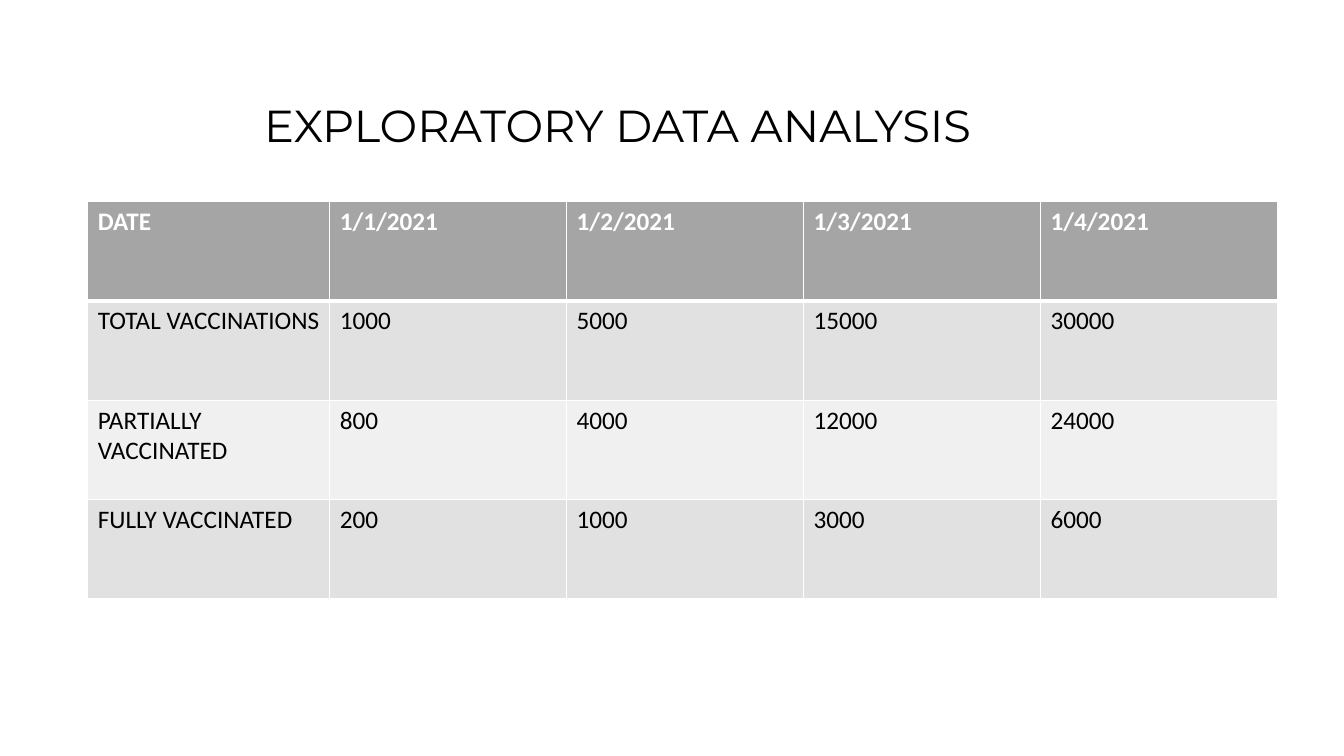
from typing import NamedTuple

from lxml.etree import SubElement
from pptx import Presentation
from pptx.dml.color import RGBColor
from pptx.enum.text import MSO_ANCHOR, MSO_AUTO_SIZE, PP_ALIGN
from pptx.oxml.ns import qn
from pptx.util import Inches, Pt

WHITE, BLACK = "FFFFFF", "000000"
HEADER_GREY, DARK_BAND, LIGHT_BAND = "A5A5A5", "E1E1E1", "F0F0F0"


class RowStyle(NamedTuple):
    fill: str
    color: str = BLACK
    bold: bool = False
    top: float = 1
    bottom: float = 1


class Row(NamedTuple):
    cells: tuple[str, ...]
    style: RowStyle


ROWS = [
    Row(("DATE", "1/1/2021", "1/2/2021", "1/3/2021", "1/4/2021"),
        RowStyle(HEADER_GREY, WHITE, bold=True, bottom=3)),
    Row(("TOTAL VACCINATIONS", "1000", "5000", "15000", "30000"),
        RowStyle(DARK_BAND, top=3)),
    Row(("PARTIALLY VACCINATED", "800", "4000", "12000", "24000"),
        RowStyle(LIGHT_BAND)),
    Row(("FULLY VACCINATED", "200", "1000", "3000", "6000"),
        RowStyle(DARK_BAND)),
]
COLUMN_WIDTHS = [2.4] + [2.35] * 4
TABLE_HEIGHT = 3.94


def rgb(color: str) -> RGBColor:
    return RGBColor.from_string(color)


def write(tf, text: str, *, size: float, font: str, color: str,
          bold: bool = False) -> None:
    p = tf.paragraphs[0]
    p.alignment = PP_ALIGN.LEFT
    r = p.add_run()
    r.text = text
    r.font.size = Pt(size)
    r.font.name = font
    r.font.bold = bold
    r.font.color.rgb = rgb(color)


def add_borders(cell, style: RowStyle) -> None:
    tc_pr = cell._tc.get_or_add_tcPr()
    for side, width in zip("LRTB", (1, 1, style.top, style.bottom)):
        ln = SubElement(tc_pr, qn(f"a:ln{side}"), w=str(Pt(width)))
        fill = SubElement(ln, qn("a:solidFill"))
        SubElement(fill, qn("a:srgbClr"), val=WHITE)


def add_title(s, text: str) -> None:
    sp = s.shapes.title
    sp.left, sp.top = Inches(2.52), Inches(0.92)
    sp.width, sp.height = Inches(8.49), Inches(0.64)
    tf = sp.text_frame
    tf.word_wrap = True
    tf.auto_size = MSO_AUTO_SIZE.SHAPE_TO_FIT_TEXT
    tf.vertical_anchor = MSO_ANCHOR.TOP
    write(tf, text, size=32, font="Montserrat", color=BLACK)


def add_vaccination_table(s, rows: list[Row]) -> None:
    table = s.shapes.add_table(
        len(rows), len(COLUMN_WIDTHS), Inches(0.87), Inches(2),
        Inches(sum(COLUMN_WIDTHS)), Inches(TABLE_HEIGHT)).table
    for column, width in zip(table.columns, COLUMN_WIDTHS):
        column.width = Inches(width)
    for table_row, row in zip(table.rows, rows):
        table_row.height = Inches(TABLE_HEIGHT / len(rows))
        for cell, text in zip(table_row.cells, row.cells):
            add_borders(cell, row.style)
            cell.fill.solid()
            cell.fill.fore_color.rgb = rgb(row.style.fill)
            write(cell.text_frame, text, size=18, font="Calibri",
                  color=row.style.color, bold=row.style.bold)


prs = Presentation()
prs.slide_width, prs.slide_height = Inches(13.33), Inches(7.5)
s = prs.slides.add_slide(prs.slide_layouts[5])
add_title(s, "EXPLORATORY DATA ANALYSIS")
add_vaccination_table(s, ROWS)
prs.save("out.pptx")
